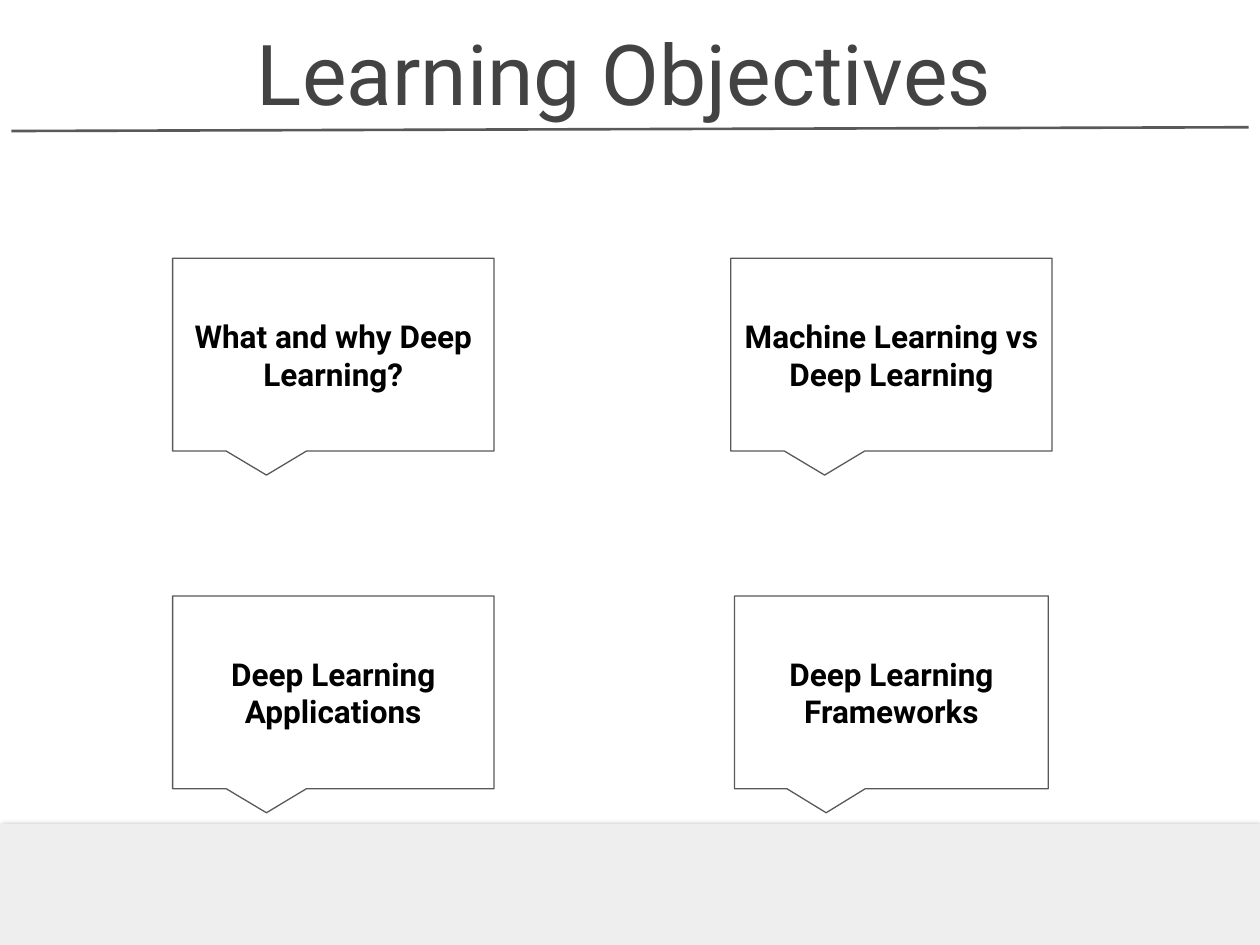
from lxml import etree
from pptx import Presentation
from pptx.dml.color import RGBColor
from pptx.enum import shapes, text
from pptx.oxml import ns
from pptx.util import Inches, Pt

BLACK = RGBColor(0x00, 0x00, 0x00)
TITLE_GREY = RGBColor(0x43, 0x43, 0x43)
LINE_GREY = RGBColor(0x59, 0x59, 0x59)
BAND_GREY = RGBColor(0xEE, 0xEE, 0xEE)
FONT = "Roboto"

CALLOUT_HEIGHT = 1.53
COLUMN_CENTERS = (2.645, 7.075)
ROW_TOPS = (2.05, 4.73)
# Each row: (wording, callout width) from left to right
OBJECTIVES = (
    (("What and why Deep Learning?", 2.55), ("Machine Learning vs Deep Learning", 2.55)),
    (("Deep Learning Applications", 2.55), ("Deep Learning Frameworks", 2.49)),
)


def write(shape, wording, size, color, bold=False, anchor=text.MSO_ANCHOR.MIDDLE):
    frame = shape.text_frame
    frame.word_wrap = True
    frame.auto_size = text.MSO_AUTO_SIZE.NONE
    frame.vertical_anchor = anchor
    frame.margin_left = frame.margin_right = Inches(0.1)
    frame.margin_top = frame.margin_bottom = Inches(0.1)
    paragraph = frame.paragraphs[0]
    paragraph.alignment = text.PP_ALIGN.CENTER
    paragraph.space_before = Pt(0)
    run = paragraph.add_run()
    run.text = wording
    run.font.name = FONT
    run.font.size = Pt(size)
    run.font.bold = bold
    run.font.color.rgb = color


def add_heading(slide, left, top, width, height):
    title = slide.shapes.title
    title.left, title.top = Inches(left), Inches(top)
    title.width, title.height = Inches(width), Inches(height)
    write(title, "Learning Objectives", 48, TITLE_GREY, anchor=text.MSO_ANCHOR.BOTTOM)


def add_rule(slide, left, top, right, bottom):
    rule = slide.shapes.add_connector(
        shapes.MSO_CONNECTOR.STRAIGHT,
        Inches(left), Inches(bottom), Inches(right), Inches(top))
    rule.line.color.rgb = LINE_GREY
    rule.line.width = Pt(1.5)
    etree.SubElement(rule._element.spPr, ns.qn("a:effectLst"))


def add_footer_band(slide, left, top, width, height):
    band = slide.shapes.add_shape(
        shapes.MSO_SHAPE.RECTANGLE,
        Inches(left), Inches(top), Inches(width), Inches(height))
    band.fill.solid()
    band.fill.fore_color.rgb = BAND_GREY
    band.line.fill.background()

    # Soft shadow, half transparent
    band.shadow.inherit = False
    effects = band._element.spPr.find(ns.qn("a:effectLst"))
    shadow = etree.SubElement(
        effects, ns.qn("a:outerShdw"), blurRad=str(Pt(4.5)), dist=str(Pt(1.5)),
        dir="5400000", algn="bl", rotWithShape="0")
    tint = etree.SubElement(shadow, ns.qn("a:srgbClr"), val=str(BLACK))
    etree.SubElement(tint, ns.qn("a:alpha"), val="50000")


def add_objective(slide, wording, left, top, width, height):
    callout = slide.shapes.add_shape(
        shapes.MSO_SHAPE.ROUNDED_RECTANGULAR_CALLOUT,
        Inches(left), Inches(top), Inches(width), Inches(height))
    # Pointer below the left half, square corners
    for index, value in enumerate((-0.208, 0.625, 0)):
        callout.adjustments[index] = value
    callout.shadow.inherit = False
    callout.fill.background()
    callout.line.color.rgb = LINE_GREY
    callout.line.width = Pt(0.75)
    write(callout, wording, 18, BLACK, bold=True)


def main():
    deck = Presentation()
    deck.slide_width, deck.slide_height = Inches(10), Inches(7.5)
    slide = deck.slides.add_slide(deck.slide_layouts[5])

    # Heading, rule and footer
    add_heading(slide, 1.3, 0.19, 7.31, 0.88)
    add_rule(slide, 0.09, 1.01, 9.91, 1.04)
    add_footer_band(slide, 0, 6.54, 10, 0.96)

    # Objectives, centred in two columns
    for top, row in zip(ROW_TOPS, OBJECTIVES):
        for center, (wording, width) in zip(COLUMN_CENTERS, row):
            add_objective(slide, wording, center - width / 2, top, width, CALLOUT_HEIGHT)

    deck.save("out.pptx")


if __name__ == "__main__":
    main()
